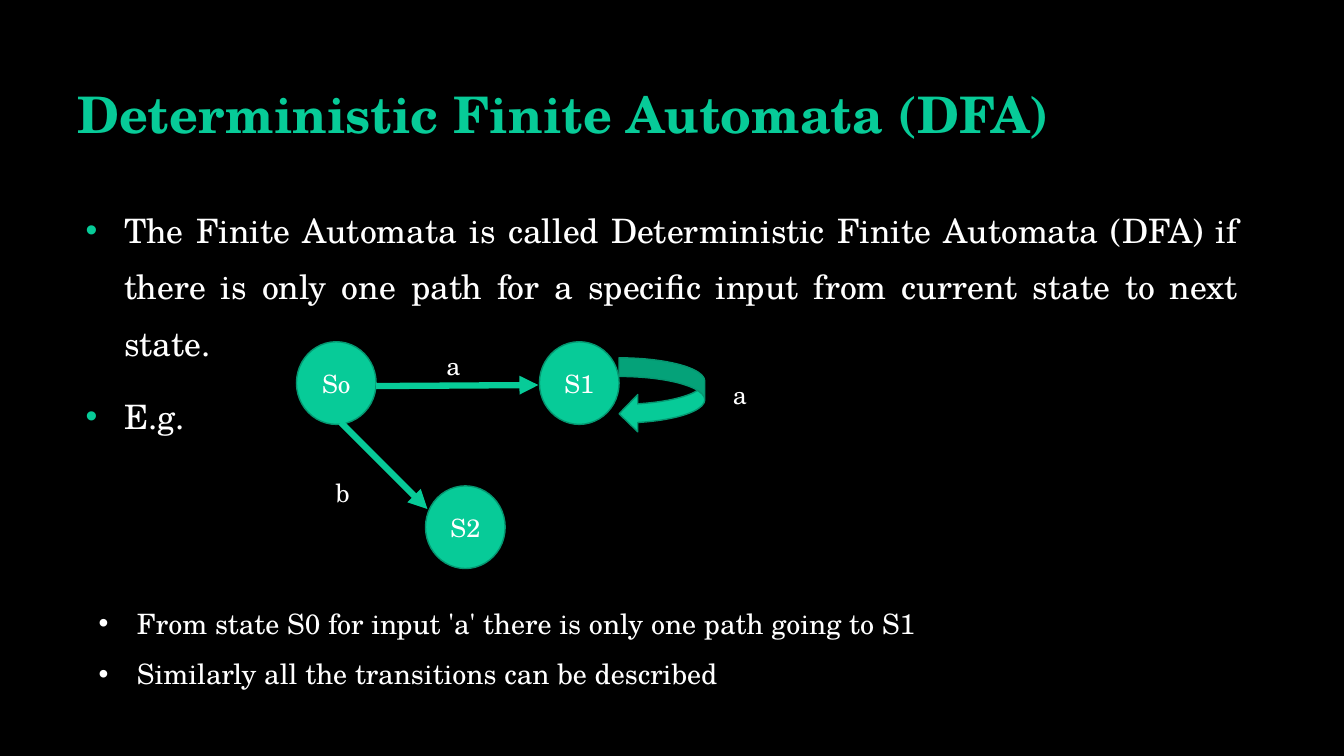
from dataclasses import dataclass

from lxml import etree
from pptx import Presentation
from pptx.dml.color import RGBColor
from pptx.enum import shapes, text
from pptx.oxml import ns
from pptx.util import Inches, Pt


@dataclass(frozen=True)
class Theme:
    font: str = "TeX Gyre Schola"
    background: str = "000000"
    accent: str = "07CB98"
    outline: str = "059670"
    light: str = "FFFFFF"
    title_size: int = 36
    body_size: int = 24
    note_size: int = 20
    label_size: int = 18


THEME = Theme()

TITLE = "Deterministic Finite Automata (DFA)"
DEFINITION = [
    "The Finite Automata is called Deterministic Finite Automata (DFA) if there is "
    "only one path for a specific input from current state to next state.",
    "E.g.",
]
NOTES = [
    "From state S0 for input 'a' there is only one path going to S1",
    "Similarly all the transitions can be described",
]
STATE_SIZE = (0.79, 0.82)
STATES = [("So", 2.94, 3.39), ("S1", 5.35, 3.39), ("S2", 4.22, 4.82)]
TRANSITIONS = [((3.73, 3.83), (5.34, 3.82)), ((3.38, 4.19), (4.24, 5.05))]
SELF_LOOP = (6.14, 3.55, 0.85, 0.74)
LABEL_SIZE = (0.41, 0.4)
INPUT_LABELS = [("a", 4.33, 3.43), ("b", 3.23, 4.69), ("a", 7.17, 3.71)]
INDENT = 0.38


def color(code):
    return RGBColor.from_string(code)


def inches(*lengths):
    return [Inches(length) for length in lengths]


def place(shape, *box):
    shape.left, shape.top, shape.width, shape.height = inches(*box)


def add_bullet(paragraph, bullet_color):
    properties = paragraph._p.get_or_add_pPr()
    properties.set("marL", str(Inches(INDENT)))
    properties.set("indent", str(-Inches(INDENT)))
    holder = etree.SubElement(properties, ns.qn("a:buClr"))
    etree.SubElement(holder, ns.qn("a:srgbClr"), val=bullet_color)
    etree.SubElement(properties, ns.qn("a:buFont"), typeface="Arial")
    etree.SubElement(properties, ns.qn("a:buChar"), char="•")


def write(shape, lines, size, ink=THEME.light, bold=False, bullet=None, gap=0,
          spacing=1.0, align=text.PP_ALIGN.LEFT, anchor=text.MSO_ANCHOR.TOP):
    """Fill a shape with one paragraph per line; gap is the points between them."""
    frame = shape.text_frame
    frame.word_wrap = True
    frame.auto_size = text.MSO_AUTO_SIZE.NONE
    frame.vertical_anchor = anchor
    for index, line in enumerate(lines):
        paragraph = frame.add_paragraph() if index else frame.paragraphs[0]
        paragraph.alignment = align
        paragraph.line_spacing = spacing
        paragraph.space_before = Pt(gap if index else 0)
        if bullet:
            add_bullet(paragraph, bullet)
        run = paragraph.add_run()
        run.text = line
        run.font.name = THEME.font
        run.font.size = Pt(size)
        run.font.bold = bold
        run.font.color.rgb = color(ink)


def add_accent_shape(slide, kind, *box):
    shape = slide.shapes.add_shape(kind, *inches(*box))
    shape.shadow.inherit = False
    shape.fill.solid()
    shape.fill.fore_color.rgb = color(THEME.accent)
    shape.line.color.rgb = color(THEME.outline)
    shape.line.width = Pt(1)
    return shape


def add_transition(slide, start, end):
    connector = slide.shapes.add_connector(
        shapes.MSO_CONNECTOR.STRAIGHT, *inches(*start, *end))
    connector.line.color.rgb = color(THEME.accent)
    connector.line.width = Pt(4.5)
    etree.SubElement(connector.line._get_or_add_ln(), ns.qn("a:tailEnd"), type="triangle")
    etree.SubElement(connector._element.spPr, ns.qn("a:effectLst"))


def add_text_box(slide, *box):
    return slide.shapes.add_textbox(*inches(*box))


def draw_automaton(slide):
    for name, left, top in STATES:
        state = add_accent_shape(slide, shapes.MSO_SHAPE.OVAL, left, top, *STATE_SIZE)
        write(state, [name], THEME.label_size, align=text.PP_ALIGN.CENTER,
              anchor=text.MSO_ANCHOR.MIDDLE)
    for start, end in TRANSITIONS:
        add_transition(slide, start, end)
    add_accent_shape(slide, shapes.MSO_SHAPE.CURVED_LEFT_ARROW, *SELF_LOOP)
    for symbol, left, top in INPUT_LABELS:
        write(add_text_box(slide, left, top, *LABEL_SIZE), [symbol], THEME.label_size)


def main():
    presentation = Presentation()
    presentation.slide_width, presentation.slide_height = inches(13.33, 7.5)
    slide = presentation.slides.add_slide(presentation.slide_layouts[1])
    slide.background.fill.solid()
    slide.background.fill.fore_color.rgb = color(THEME.background)

    title, body = slide.shapes.title, slide.placeholders[1]
    place(title, 0.67, 0.45, 10.57, 1.03)
    write(title, [TITLE], THEME.title_size, ink=THEME.accent, bold=True,
          spacing=0.9, anchor=text.MSO_ANCHOR.BOTTOM)
    place(body, 0.75, 1.87, 11.63, 1.97)
    write(body, DEFINITION, THEME.body_size, bullet=THEME.accent, gap=12,
          spacing=1.4, align=text.PP_ALIGN.JUSTIFY)

    draw_automaton(slide)
    write(add_text_box(slide, 0.88, 5.8, 11.35, 1.55), NOTES, THEME.note_size,
          bullet=THEME.light, spacing=1.5)
    presentation.save("out.pptx")


if __name__ == "__main__":
    main()
